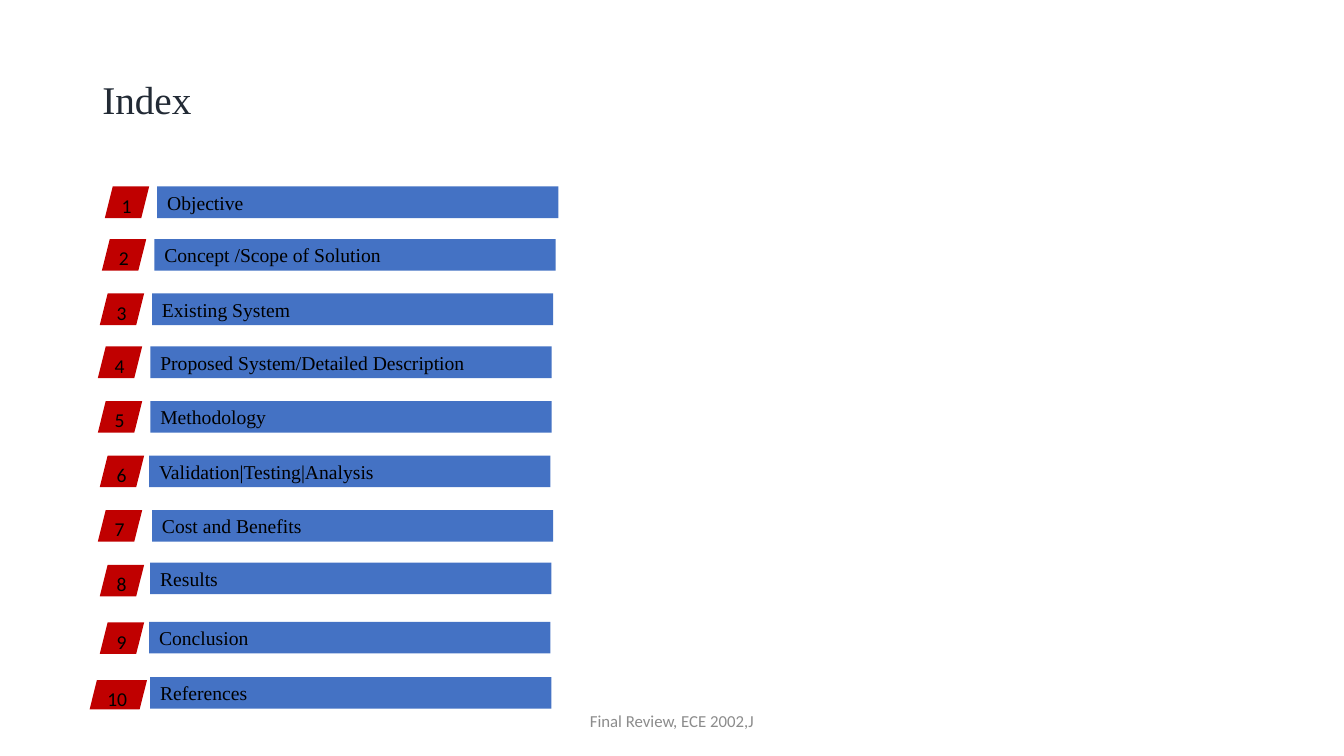
from pptx import Presentation
from pptx.dml.color import RGBColor
from pptx.enum import shapes, text
from pptx.util import Pt

COLOURS = {"bar": "4472C4", "tag": "C00000", "ink": "000000",
           "title": "222A35", "footer": "8C8C8C"}
SERIF, SANS = "Times New Roman", "Calibri"
BAR_WIDTH, ROW_HEIGHT = 286.6, 22.6
TAG_SIZE = (31.7, ROW_HEIGHT)
LAST_TAG_SIZE = (41, 20.9)

# label, bar left, bar top, tag left, tag top, tag size
ENTRIES = [
    ("Objective", 112.3, 133.2, 74.9, 133.2, TAG_SIZE),
    ("Concept /Scope of Solution", 110.3, 170.8, 72.8, 170.8, TAG_SIZE),
    ("Existing System", 108.6, 209.6, 71.3, 209.6, TAG_SIZE),
    ("Proposed System/Detailed Description", 107.4, 247.5, 69.9, 247.5, TAG_SIZE),
    ("Methodology", 107.4, 286.5, 69.9, 286.5, TAG_SIZE),
    ("Validation|Testing|Analysis", 106.5, 325.4, 71.3, 325.4, TAG_SIZE),
    ("Cost and Benefits", 108.6, 364.3, 69.9, 364.3, TAG_SIZE),
    ("Results", 107.3, 401.9, 71.3, 403.4, TAG_SIZE),
    ("Conclusion", 106.5, 444.2, 71.3, 444.5, TAG_SIZE),
    ("References", 107.3, 483.6, 64, 485.9, LAST_TAG_SIZE),
]


def write(frame, words, colour, anchor, paragraph_format, font_format):
    """Fill a text frame with one formatted paragraph."""
    frame.word_wrap = True
    frame.vertical_anchor = anchor
    paragraph = frame.paragraphs[0]
    paragraph.text = words
    for target, values in ((paragraph, paragraph_format), (paragraph.font, font_format)):
        for key, value in values.items():
            setattr(target, key, value)
    paragraph.font.color.rgb = RGBColor.from_string(COLOURS[colour])


def add_block(slide, kind, box, colour):
    """Add a plain filled shape and return it."""
    block = slide.shapes.add_shape(kind, *map(Pt, box))
    block.shadow.inherit = False
    block.fill.solid()
    block.fill.fore_color.rgb = RGBColor.from_string(COLOURS[colour])
    block.line.fill.background()
    return block


def add_caption(slide, words, box, colour, paragraph_format, font_format):
    """Add a free-standing line of text."""
    caption = slide.shapes.add_textbox(*map(Pt, box))
    write(caption.text_frame, words, colour, text.MSO_ANCHOR.MIDDLE,
          paragraph_format, font_format)


def add_entry(slide, number, label, bar_left, bar_top, tag_left, tag_top, tag_size):
    """Add one index row: a label bar and its numbered tag."""
    bar = add_block(slide, shapes.MSO_SHAPE.RECTANGLE,
                    (bar_left, bar_top, BAR_WIDTH, ROW_HEIGHT), "bar")
    write(bar.text_frame, label, "ink", text.MSO_ANCHOR.MIDDLE,
          {"alignment": text.PP_ALIGN.LEFT}, {"name": SERIF, "size": Pt(14)})
    tag = add_block(slide, shapes.MSO_SHAPE.PARALLELOGRAM,
                    (tag_left, tag_top, *tag_size), "tag")
    tag.text_frame.margin_right = 0
    write(tag.text_frame, str(number), "ink", text.MSO_ANCHOR.TOP,
          {"alignment": text.PP_ALIGN.LEFT, "line_spacing": 0.9},
          {"name": SANS, "size": Pt(14)})


def main():
    """Build the index slide and save it."""
    deck = Presentation()
    deck.slide_width, deck.slide_height = Pt(960), Pt(540)
    slide = deck.slides.add_slide(deck.slide_layouts[6])
    add_caption(slide, "Index", (66, 28.8, 828, 87.8), "title",
                {"line_spacing": 0.9}, {"name": SERIF, "size": Pt(28)})
    for number, entry in enumerate(ENTRIES, 1):
        add_entry(slide, number, *entry)
    add_caption(slide, "Final Review, ECE 2002,J", (318, 500.5, 324, 28.8), "footer",
                {"alignment": text.PP_ALIGN.CENTER}, {"name": SANS, "size": Pt(12)})
    deck.save("out.pptx")


if __name__ == "__main__":
    main()
